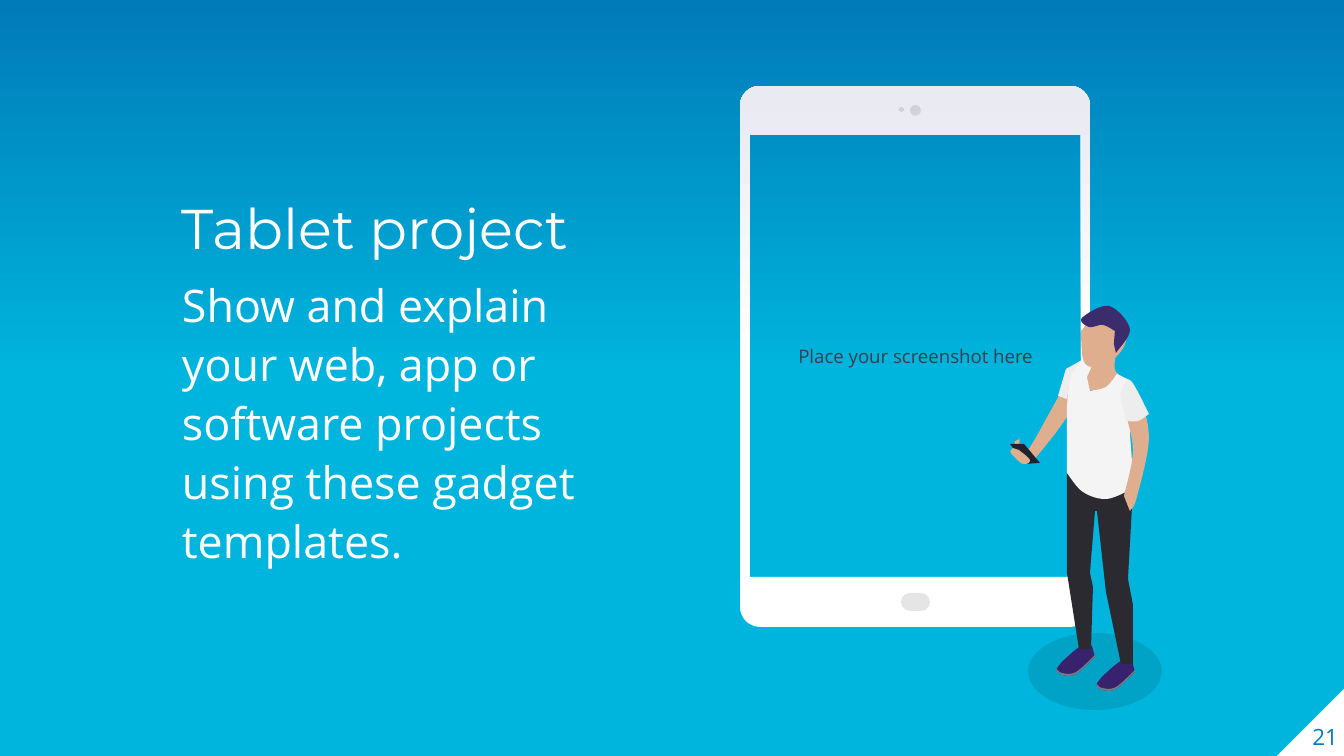
import copy
import math
import pptx
import pptx.dml.color
import pptx.enum.shapes
import pptx.enum.text
import pptx.oxml
import pptx.oxml.ns
import pptx.util

SHAPE = pptx.enum.shapes.MSO_SHAPE
ALIGN = pptx.enum.text.PP_ALIGN
ANCHOR = pptx.enum.text.MSO_ANCHOR
qn = pptx.oxml.ns.qn


class Theme:
    heading, body = "Montserrat", "Open Sans"
    title_size, text_size, number_size, label_size = 30, 24, 12, 10
    sky, ocean = "00B5DD", "007BB9"
    white, frame_top, ink, black = "FFFFFF", "E9EAF2", "3A3F50", "000000"
    skin, hair, shirt, sleeve = "DFAE8E", "3A2C6D", "F4F4F4", "EDEDED"
    trousers, phone, shoe, sole = "2B2A30", "20232D", "38226D", "757B89"


def rgb(color):
    return pptx.dml.color.RGBColor.from_string(color)


def px(n):
    """Picture pixels to EMU."""
    return round(n * 914400 / 134.4)


def smooth(knots, steps=8):
    """Points of a spline that passes through every knot."""
    padded = [knots[0], *knots, knots[-1]]
    points = [knots[0]]
    for a, b, c, d in zip(padded, padded[1:], padded[2:], padded[3:]):
        for i in range(1, steps + 1):
            t = i / steps
            points.append(tuple(
                q + t * (r - p + t * (2 * p - 5 * q + 4 * r - s + t * (3 * (q - r) + s - p))) / 2
                for p, q, r, s in zip(a, b, c, d)))
    return points


def rounded(x, y, w, h, radius, steps=10):
    """Points around a rectangle with round corners."""
    centres = [(x + w - radius, y + h - radius), (x + radius, y + h - radius),
               (x + radius, y + radius), (x + w - radius, y + radius)]
    return [(cx + radius * math.cos(a), cy + radius * math.sin(a))
            for k, (cx, cy) in enumerate(centres)
            for a in (math.pi / 2 * (k + i / steps) for i in range(steps + 1))]


class Deck:
    def __init__(self, width, height):
        self.prs = pptx.Presentation()
        self.prs.slide_width, self.prs.slide_height = px(width), px(height)
        self.s = self.prs.slides.add_slide(self.prs.slide_layouts[6])
        self.shapes = self.s.shapes

    def group(self):
        self.shapes = self.s.shapes.add_group_shape().shapes

    def gradient(self, fill, element, bottom, top):
        """Plain bottom half, blending to the top colour above."""
        fill.gradient()
        fill.gradient_angle = 90
        for stop, color in zip(fill.gradient_stops, (bottom, top)):
            stop.color.rgb = rgb(color)
        first, last = element.find(".//" + qn("a:gsLst"))
        middle = copy.deepcopy(first)
        for gs, pos in ((first, 0), (middle, 50000), (last, 100000)):
            gs.set("pos", str(pos))
        first.addnext(middle)

    def paint(self, sp, color, alpha=None):
        sp.shadow.inherit = False
        sp.line.fill.background()
        sp.fill.solid()
        sp.fill.fore_color.rgb = rgb(color)
        if alpha:
            clr = sp.element.spPr.find(".//" + qn("a:srgbClr"))
            clr.append(pptx.oxml.parse_xml(
                '<a:alpha xmlns:a="http://schemas.openxmlformats.org/drawingml/2006/main" '
                f'val="{alpha * 1000}"/>'))
        return sp

    def preset(self, kind, x, y, w, h, color, alpha=None):
        return self.paint(self.shapes.add_shape(kind, px(x), px(y), px(w), px(h)), color, alpha)

    def polygon(self, color, *contours):
        builder = None
        for contour in contours:
            first, *rest = [(px(x), px(y)) for x, y in contour]
            if builder is None:
                builder = self.shapes.build_freeform(*first, scale=1.0)
            else:
                builder.move_to(*first)
            builder.add_line_segments(rest)
        return self.paint(builder.convert_to_shape(), color)

    def curved(self, color, *runs):
        """Each run is smooth; the runs meet in corners."""
        return self.polygon(color, [point for run in runs for point in smooth(run)])

    def text(self, x, y, w, h, paragraphs, anchor, align=ALIGN.LEFT, inset=0, line=None, before=None):
        tf = self.shapes.add_textbox(px(x), px(y), px(w), px(h)).text_frame
        tf.word_wrap, tf.vertical_anchor = True, anchor
        tf.margin_left = tf.margin_right = tf.margin_top = tf.margin_bottom = px(inset)
        for i, (words, font, size, color) in enumerate(paragraphs):
            p = tf.add_paragraph() if i else tf.paragraphs[0]
            p.alignment, p.line_spacing = align, line
            if before:
                p.space_before = pptx.util.Pt(before)
            r = p.add_run()
            r.text = words
            r.font.name, r.font.size = font, pptx.util.Pt(size)
            r.font.color.rgb = rgb(color)


T = Theme
d = Deck(1344, 756)

# Background, page corner and number
d.gradient(d.s.background.fill, d.s.element, T.sky, T.ocean)
corner = d.preset(SHAPE.RIGHT_TRIANGLE, 1277, 687, 69, 69, T.white)
corner.element.spPr.find(qn("a:xfrm")).set("flipH", "1")
d.text(749, 136, 333, 441, [("Place your screenshot here", T.body, T.label_size, T.ink)],
       ANCHOR.MIDDLE, ALIGN.CENTER, inset=13)
d.text(1271, 681, 67, 69, [("21", T.body, T.number_size, T.ocean)], ANCHOR.BOTTOM, ALIGN.RIGHT)

# Tablet: frame with an open screen, home button, camera dots
d.group()
frame = d.polygon(T.white, rounded(740, 86, 350, 541, 20), rounded(750, 135, 331, 442, 0, 1))
d.gradient(frame.fill, frame.element, T.white, T.frame_top)
button = d.preset(SHAPE.ROUNDED_RECTANGLE, 901, 593, 29, 18, T.black, 10)
button.adjustments[0] = 0.5
for x, y, size in ((899, 107, 5), (910, 105, 11)):
    d.preset(SHAPE.OVAL, x, y, size, size, T.black, 10)

# Title and body
d.shapes = d.s.shapes
d.text(182, 224, 441, 307, [
    ("Tablet project", T.heading, T.title_size, T.white),
    ("Show and explain your web, app or software projects using these gadget templates.",
     T.body, T.text_size, T.white)], ANCHOR.MIDDLE, line=1.1, before=6)

# Person: ground shade, then a pair of shoes
d.group()
d.preset(SHAPE.OVAL, 1028, 633, 134, 77, T.black, 10)
for x, y in ((1096, 661), (1056, 646)):
    edge = [(x, y + 24), (x + 6, y + 29), (x + 20, y + 28), (x + 39, y + 11)]
    d.curved(T.shoe, edge, [(x + 36, y), (x + 25, y), (x + 7, y + 15), (x, y + 24)])
    d.curved(T.sole, edge, [(ex, ey - 2) for ex, ey in reversed(edge)])

# Trousers
d.polygon(T.trousers, [(1133, 489), (1128, 579), (1133, 605), (1133, 664), (1121, 664), (1106, 592),
                       (1097, 511), (1095, 511), (1090, 573), (1093, 587), (1091, 649), (1079, 649),
                       (1067, 573), (1067, 473)])

# Neck, far arm, phone and hand
d.curved(T.skin, [(1116, 353), (1115, 370), (1124, 378)], [(1107, 395), (1087, 387), (1087, 363)])
d.curved(T.skin, [(1079, 367), (1059, 396), (1028, 450), (1019, 445)],
         [(1020, 439), (1015, 444), (1034, 460)], [(1055, 434), (1070, 413)])
d.polygon(T.phone, [(1010, 444), (1024, 444), (1040, 463), (1025, 464)])
d.curved(T.skin, [(1013, 448), (1011, 453), (1023, 464), (1030, 460), (1019, 450)])

# Shirt, near arm, head, hair and sleeves
d.curved(T.shirt, [(1117, 374), (1106, 387), (1090, 391)], [(1087, 377), (1093, 364)],
         [(1082, 360), (1071, 372), (1067, 407)], [(1067, 473), (1083, 492), (1107, 499), (1134, 488)],
         [(1130, 433), (1136, 395), (1129, 380)])
d.curved(T.skin, [(1124, 496), (1133, 450), (1124, 403), (1131, 388), (1140, 398), (1149, 439),
                  (1137, 497), (1130, 511)])
d.curved(T.skin, [(1081, 331), (1103, 310), (1126, 336), (1114, 359), (1093, 367), (1083, 359), (1081, 331)])
d.curved(T.hair, [(1116, 353), (1114, 344)], [(1115, 331), (1103, 325), (1089, 327), (1082, 318),
                                             (1109, 306), (1130, 329), (1116, 353)])
d.curved(T.sleeve, [(1149, 414), (1138, 421), (1126, 421)], [(1120, 394), (1130, 380), (1149, 414)])
d.curved(T.sleeve, [(1067, 399), (1058, 396)], [(1066, 369), (1082, 360)], [(1071, 374), (1067, 399)])

d.prs.save("out.pptx")
